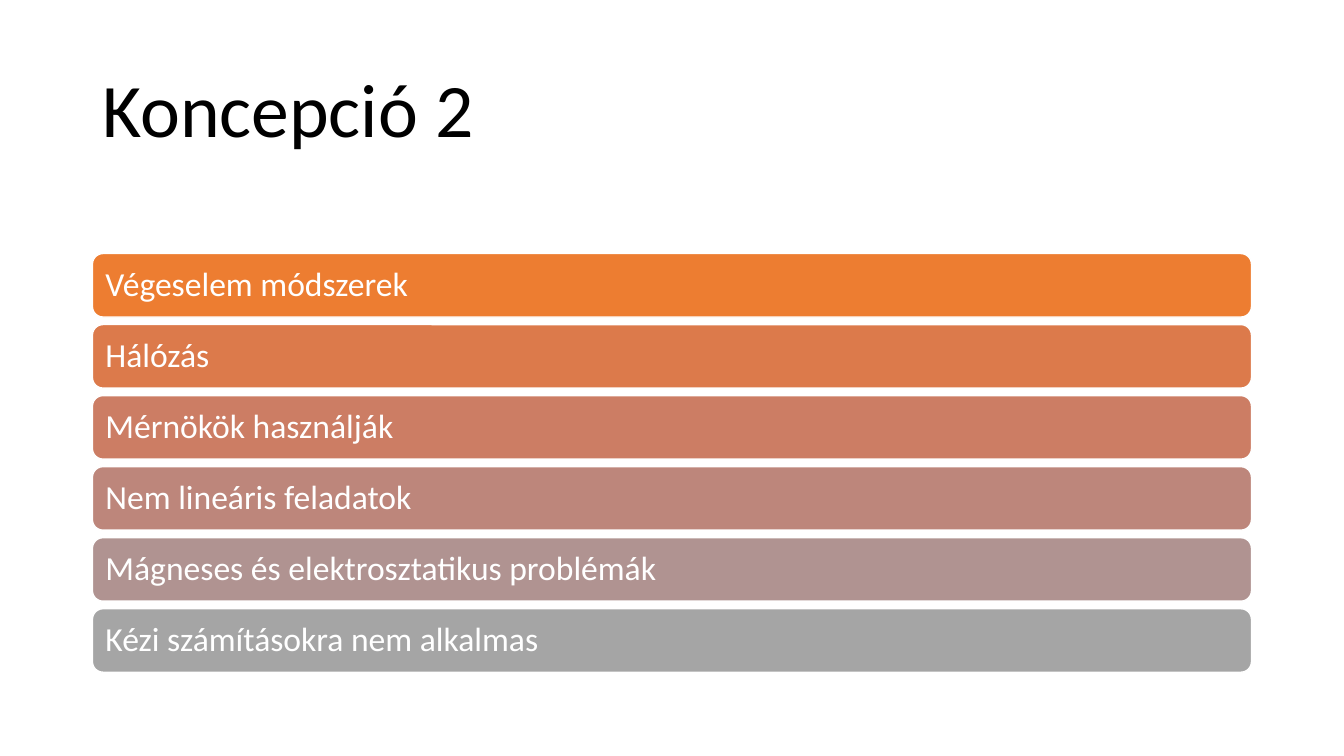
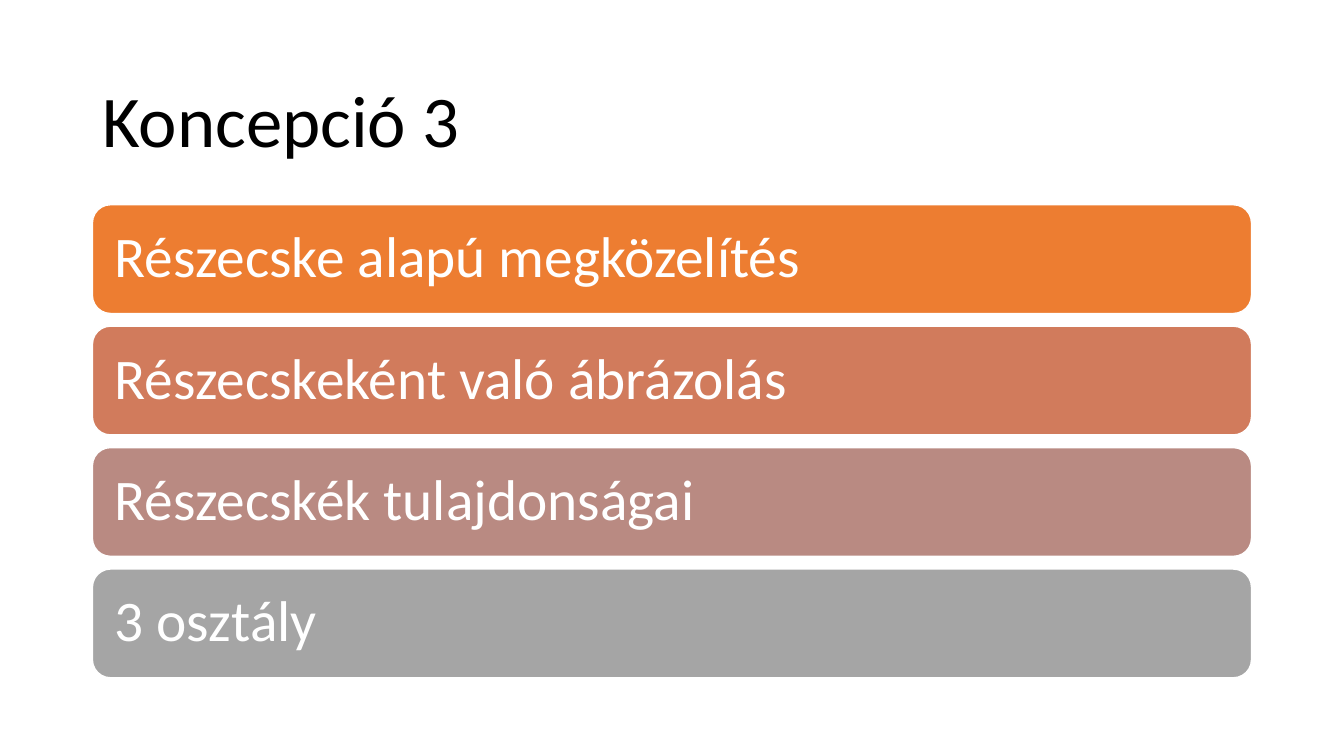
from dataclasses import dataclass

from pptx import Presentation
from pptx.dml.color import RGBColor
from pptx.enum.shapes import MSO_SHAPE as Preset
from pptx.enum.text import MSO_ANCHOR as Anchor, PP_ALIGN as Align
from pptx.util import Cm, Pt

FONT = "Calibri"
COLORS = {
    "title": "000000",
    "white": "FFFFFF",
    "orange": "ED7D31",
    "copper": "DC7A4B",
    "terracotta": "D17B5C",
    "salmon": "CC7D64",
    "rose": "BD867B",
    "dusty_rose": "B98A82",
    "mauve": "B09391",
    "gray": "A5A5A5",
}
LEFT, WIDTH = 2.33, 29.21
TITLE_BOTTOM = 4.7


@dataclass
class BarStyle:
    top: float
    height: float
    gap: float
    inset: float
    size: int


SIX_BARS = BarStyle(top=6.39, height=1.6, gap=0.19, inset=0.25, size=24)
FOUR_BARS = BarStyle(top=5.16, height=2.74, gap=0.32, inset=0.43, size=41)

CONCEPT_2 = [
    ("Végeselem módszerek", "orange"),
    ("Hálózás", "copper"),
    ("Mérnökök használják", "salmon"),
    ("Nem lineáris feladatok", "rose"),
    ("Mágneses és elektrosztatikus problémák", "mauve"),
    ("Kézi számításokra nem alkalmas", "gray"),
]
CONCEPT_3 = [
    ("Részecske alapú megközelítés", "orange"),
    ("Részecskeként való ábrázolás", "terracotta"),
    ("Részecskék tulajdonságai", "dusty_rose"),
    ("3 osztály", "gray"),
]


def color(name):
    return RGBColor.from_string(COLORS[name])


def write_text(shape, text, size, color_name):
    frame = shape.text_frame
    frame.text = text
    frame.word_wrap = True
    frame.vertical_anchor = Anchor.MIDDLE
    paragraph = frame.paragraphs[0]
    paragraph.alignment = Align.LEFT
    paragraph.line_spacing = 0.9
    font = paragraph.runs[0].font
    font.name = FONT
    font.size = Pt(size)
    font.color.rgb = color(color_name)


def add_title(slide, text, top, size):
    box = slide.shapes.add_textbox(
        Cm(LEFT), Cm(top), Cm(WIDTH), Cm(TITLE_BOTTOM - top)
    )
    write_text(box, text, size, "title")


def add_bar(slide, text, fill, top, style):
    bar = slide.shapes.add_shape(
        Preset.ROUNDED_RECTANGLE, Cm(LEFT), Cm(top), Cm(WIDTH), Cm(style.height)
    )
    bar.shadow.inherit = False
    bar.fill.solid()
    bar.fill.fore_color.rgb = color(fill)
    bar.line.color.rgb = color("white")
    bar.line.width = Pt(1)
    frame = bar.text_frame
    frame.margin_left = frame.margin_right = Cm(style.inset)
    frame.margin_top = frame.margin_bottom = Cm(style.inset)
    write_text(bar, text, style.size, "white")


def add_bars(slide, bars, style):
    for index, (text, fill) in enumerate(bars):
        top = style.top + index * (style.height + style.gap)
        add_bar(slide, text, fill, top, style)


def add_concept_slide(presentation, title, title_top, title_size, bars, style):
    slide = presentation.slides.add_slide(presentation.slide_layouts[6])
    add_title(slide, title, title_top, title_size)
    add_bars(slide, bars, style)


def main():
    presentation = Presentation()
    presentation.slide_width = Cm(33.87)
    presentation.slide_height = Cm(19.05)
    add_concept_slide(presentation, "Koncepció 2", 1.02, 54, CONCEPT_2, SIX_BARS)
    add_concept_slide(presentation, "Koncepció 3", 1.55, 52, CONCEPT_3, FOUR_BARS)
    presentation.save("out.pptx")


main()
